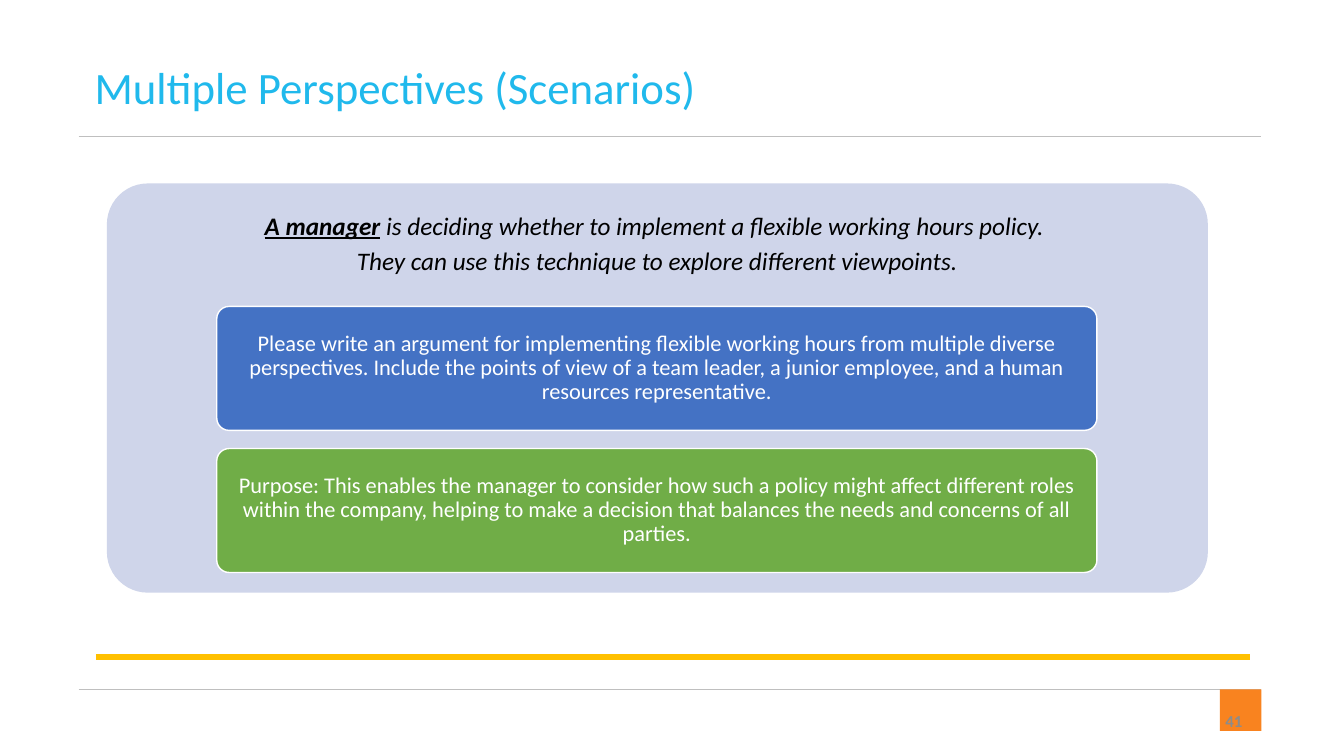
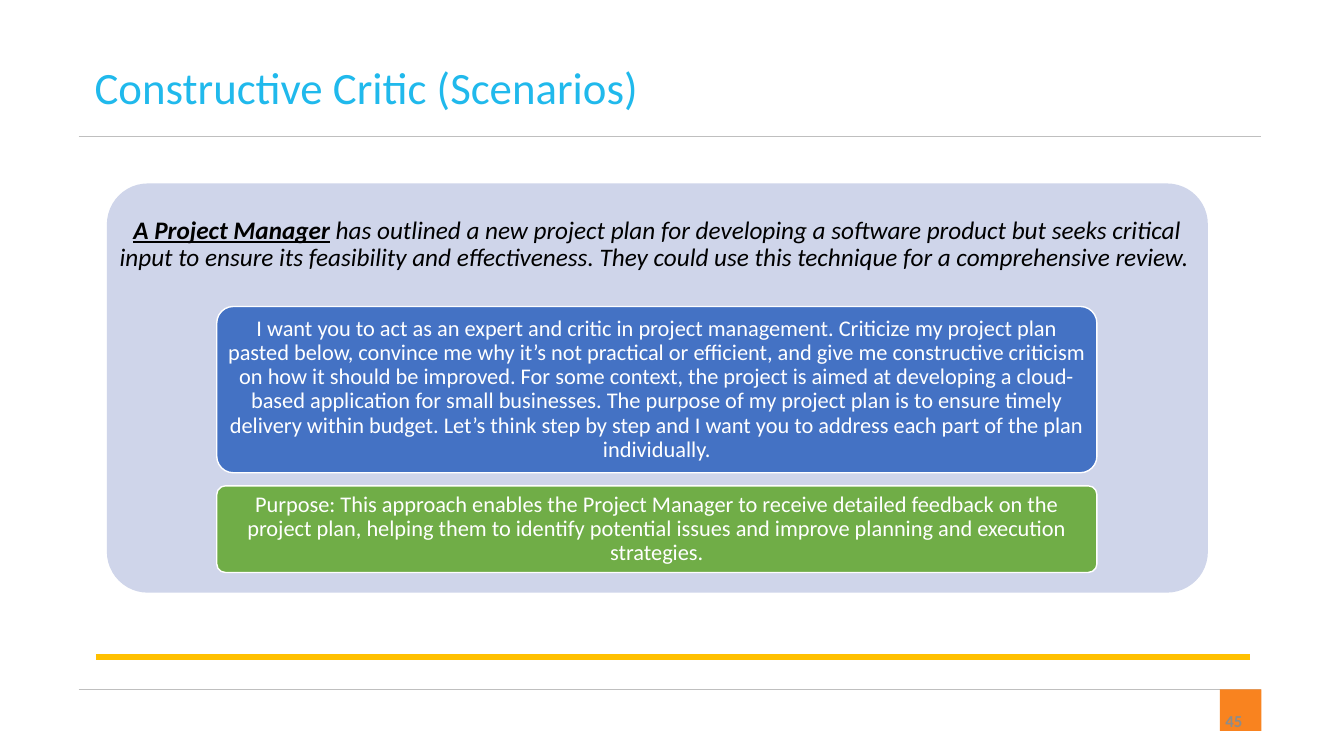
from dataclasses import dataclass

from lxml import etree
from pptx import Presentation
from pptx.dml.color import RGBColor
from pptx.enum.shapes import MSO_CONNECTOR, MSO_SHAPE
from pptx.enum.text import MSO_ANCHOR, PP_ALIGN
from pptx.oxml.ns import qn
from pptx.util import Inches, Pt

STRAIGHT = MSO_CONNECTOR.STRAIGHT
RECTANGLE, ROUNDED = MSO_SHAPE.RECTANGLE, MSO_SHAPE.ROUNDED_RECTANGLE
TOP, MIDDLE = MSO_ANCHOR.TOP, MSO_ANCHOR.MIDDLE
LEFT, CENTER, RIGHT = PP_ALIGN.LEFT, PP_ALIGN.CENTER, PP_ALIGN.RIGHT


@dataclass(frozen=True)
class Theme:
    font: str = "Calibri"
    title: str = "20B9EC"
    rule: str = "BFBFBF"
    accent_rule: str = "FFC000"
    number_tab: str = "F9831F"
    number: str = "8C8C8C"
    panel: str = "CFD5EA"
    prompt: str = "4472C4"
    purpose: str = "70AD47"
    dark: str = "000000"
    light: str = "FFFFFF"
    title_size: int = 32
    lead_size: int = 18
    body_size: int = 16
    number_size: int = 12


THEME = Theme()

# Slide content: each lead paragraph is a list of (text, emphasised) runs
SCENARIOS = [
    {
        "number": "41",
        "title": "Multiple Perspectives (Scenarios)",
        "lead": [
            [("A manager", True),
             (" is deciding whether to implement a flexible working hours policy. ", False)],
            [("They can use this technique to explore different viewpoints.", False)],
        ],
        "prompt": "Please write an argument for implementing flexible working hours from "
                  "multiple diverse perspectives. Include the points of view of a team leader, "
                  "a junior employee, and a human resources representative.",
        "purpose": "Purpose: This enables the manager to consider how such a policy might "
                   "affect different roles within the company, helping to make a decision that "
                   "balances the needs and concerns of all parties.",
        "prompt_height": 1.23,
        "purpose_height": 1.23,
    },
    {
        "number": "45",
        "title": "Constructive Critic (Scenarios)",
        "lead": [
            [("A Project Manager", True),
             (" has outlined a new project plan for developing a software product but seeks "
              "critical input to ensure its feasibility and effectiveness. They could use this "
              "technique for a comprehensive review. ", False)],
        ],
        "prompt": "I want you to act as an expert and critic in project management. Criticize "
                  "my project plan pasted below, convince me why it’s not practical or "
                  "efficient, and give me constructive criticism on how it should be improved. "
                  "For some context, the project is aimed at developing a cloud-based "
                  "application for small businesses. The purpose of my project plan is to "
                  "ensure timely delivery within budget. Let’s think step by step and I want "
                  "you to address each part of the plan individually.",
        "purpose": "Purpose: This approach enables the Project Manager to receive detailed "
                   "feedback on the project plan, helping them to identify potential issues and "
                   "improve planning and execution strategies.",
        "prompt_height": 1.65,
        "purpose_height": 0.86,
    },
]

# Shared geometry, in inches
RULES = [  # left, right, height on the slide, colour, width in points
    (0.78, 12.51, 6.84, THEME.rule, 0.5),
    (0.78, 12.51, 1.35, THEME.rule, 0.5),
    (0.95, 12.4, 6.52, THEME.accent_rule, 4.5),
]
PANEL_LEFT, PANEL_TOP, PANEL_WIDTH, PANEL_HEIGHT = 1.06, 1.82, 10.92, 4.06
LEAD_HEIGHT = 1.22
CARD_LEFT, CARD_WIDTH = 2.15, 8.73
CARDS_TOP, CARDS_BOTTOM = 3.04, 5.68


def add_block(slide, preset, left, top, width, height, fill, outline=None):
    shape = slide.shapes.add_shape(
        preset, Inches(left), Inches(top), Inches(width), Inches(height))
    shape.shadow.inherit = False
    shape.fill.solid()
    shape.fill.fore_color.rgb = RGBColor.from_string(fill)
    if preset == ROUNDED:
        shape.adjustments[0] = 0.1
    if outline:
        shape.line.color.rgb = RGBColor.from_string(outline)
        shape.line.width = Pt(1)
    else:
        shape.line.fill.background()
    return shape


def write_text(shape, paragraphs, size, color, align, anchor, insets=(0.1, 0.05),
               line_spacing=1.0, italic=False, underline=True):
    frame = shape.text_frame
    frame.word_wrap = True
    frame.vertical_anchor = anchor
    frame.margin_left = frame.margin_right = Inches(insets[0])
    frame.margin_top = frame.margin_bottom = Inches(insets[1])
    for index, runs in enumerate(paragraphs):
        paragraph = frame.add_paragraph() if index else frame.paragraphs[0]
        paragraph.alignment = align
        paragraph.line_spacing = line_spacing
        paragraph.space_after = Pt(6)
        for text, emphasised in runs:
            run = paragraph.add_run()
            run.text = text
            run.font.name = THEME.font
            run.font.size = Pt(size)
            run.font.color.rgb = RGBColor.from_string(color)
            run.font.bold = emphasised
            run.font.italic = italic
            run.font.underline = emphasised and underline


presentation = Presentation()
presentation.slide_width = Inches(13.33)
presentation.slide_height = Inches(7.5)
blank_layout = presentation.slide_layouts[6]

for scenario in SCENARIOS:
    slide = presentation.slides.add_slide(blank_layout)

    # Rules and page number tab
    for left, right, level, color, width in RULES:
        rule = slide.shapes.add_connector(
            STRAIGHT, Inches(left), Inches(level), Inches(right), Inches(level))
        rule.line.color.rgb = RGBColor.from_string(color)
        rule.line.width = Pt(width)
        etree.SubElement(rule._element.spPr, qn("a:effectLst"))
    add_block(slide, RECTANGLE, 12.1, 6.84, 0.41, 0.41, THEME.number_tab)
    number = slide.shapes.add_textbox(Inches(9.42), Inches(6.95), Inches(3), Inches(0.4))
    write_text(number, [[(scenario["number"], True)]], THEME.number_size, THEME.number,
               RIGHT, MIDDLE, underline=False)

    # Title
    title = slide.shapes.add_textbox(Inches(0.84), Inches(0.54), Inches(11.97), Inches(0.64))
    write_text(title, [[(scenario["title"], False)]], THEME.title_size, THEME.title, LEFT, TOP)

    # Panel with its lead text
    add_block(slide, ROUNDED, PANEL_LEFT, PANEL_TOP, PANEL_WIDTH, PANEL_HEIGHT, THEME.panel)
    lead = slide.shapes.add_textbox(
        Inches(PANEL_LEFT), Inches(PANEL_TOP), Inches(PANEL_WIDTH), Inches(LEAD_HEIGHT))
    write_text(lead, scenario["lead"], THEME.lead_size, THEME.dark, CENTER, MIDDLE,
               insets=(0.07, 0.07), line_spacing=0.9, italic=True)

    # Prompt card at the top of the card area, purpose card at its bottom
    purpose_top = CARDS_BOTTOM - scenario["purpose_height"]
    for part, top, fill in (("prompt", CARDS_TOP, THEME.prompt),
                            ("purpose", purpose_top, THEME.purpose)):
        card = add_block(slide, ROUNDED, CARD_LEFT, top, CARD_WIDTH,
                         scenario[part + "_height"], fill, THEME.light)
        write_text(card, [[(scenario[part], False)]], THEME.body_size, THEME.light,
                   CENTER, MIDDLE, insets=(0.04, 0.03), line_spacing=0.9)

presentation.save("out.pptx")
